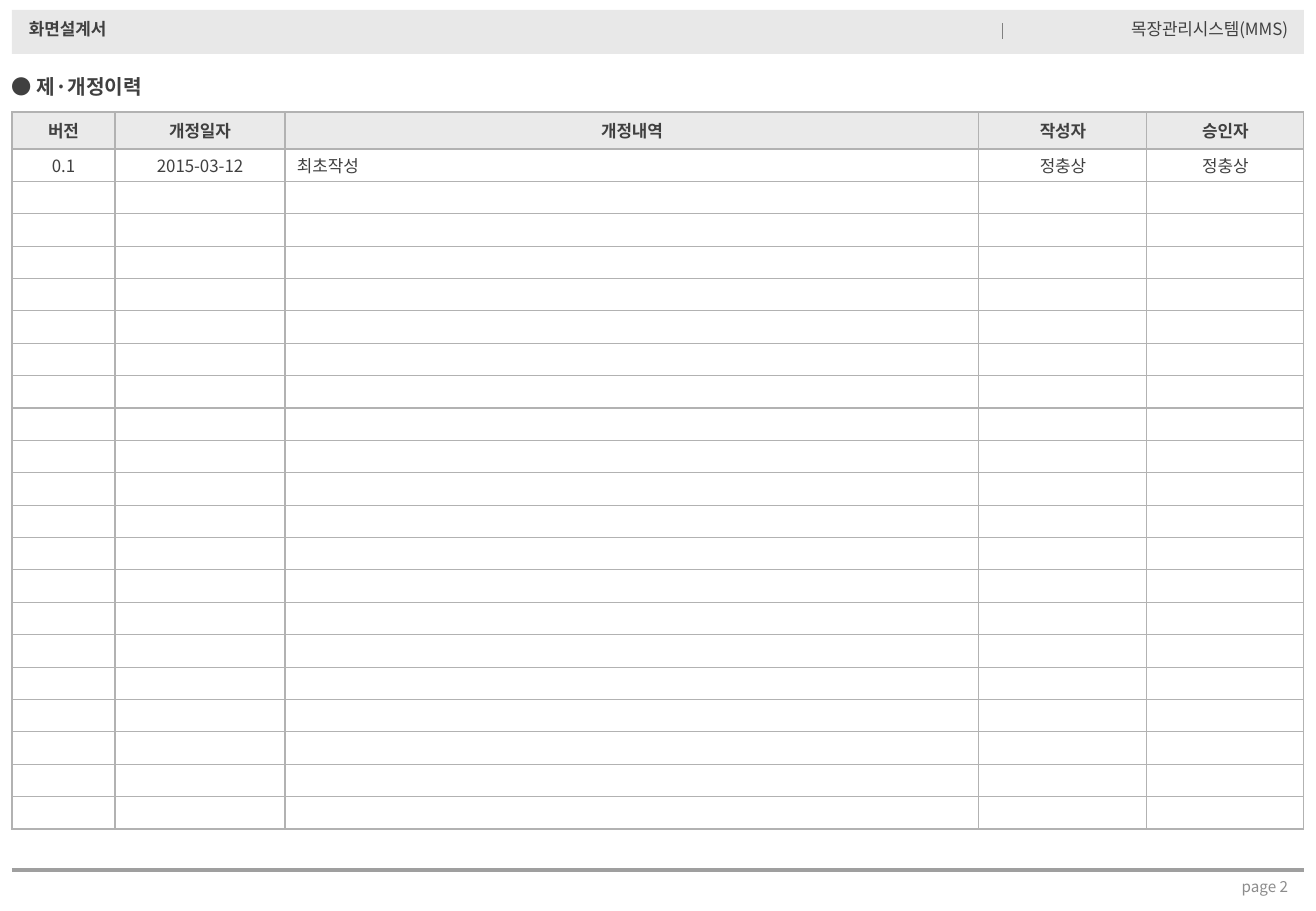
from dataclasses import dataclass
from itertools import pairwise

import lxml.etree
import pptx
import pptx.dml.color
import pptx.enum.shapes
import pptx.enum.text
import pptx.oxml.ns
import pptx.util

qn = pptx.oxml.ns.qn
Align = pptx.enum.text.PP_ALIGN
Anchor = pptx.enum.text.MSO_ANCHOR


@dataclass(frozen=True)
class Theme:
    font: str = "Noto Sans CJK KR"
    ink: str = "404040"
    page_ink: str = "8C8C8C"
    band: str = "D9D9D9"
    band_alpha: int = 60000
    divider: str = "808080"
    footer_rule: str = "9F9F9F"
    grid: str = "B2B2B2"
    heading_fill: str = "EAEAEA"
    page_size: float = 9
    body_size: float = 10
    title_size: float = 12
    divider_width: float = 0.25
    grid_width: float = 0.75
    footer_width: float = 2.25
    cell_space: float = 2


@dataclass(frozen=True)
class Label:
    text: str
    left: int
    top: int
    width: int
    height: int
    size: float
    color: str
    bold: bool = False
    align: Align = Align.LEFT
    anchor: Anchor = Anchor.TOP
    inset: tuple[int, int] = (12, 6)


@dataclass(frozen=True)
class Rule:
    start: tuple[int, int]
    end: tuple[int, int]
    color: str
    width: float


@dataclass(frozen=True)
class Column:
    heading: str
    first_entry: str
    align: Align = Align.CENTER


THEME = Theme()
EMU_PER_PIXEL = 914400 / 121.5


def px(pixels: float) -> pptx.util.Emu:
    return pptx.util.Emu(round(pixels * EMU_PER_PIXEL))


def rgb(color: str) -> pptx.dml.color.RGBColor:
    return pptx.dml.color.RGBColor.from_string(color)


def style_font(paragraph, size: float, color: str, bold: bool) -> None:
    font = paragraph.font
    font.name = THEME.font
    font.size = pptx.util.Pt(size)
    font.bold = bold
    font.color.rgb = rgb(color)
    defaults = paragraph._p.pPr.find(qn("a:defRPr"))
    lxml.etree.SubElement(defaults, qn("a:ea"), typeface=THEME.font)


def draw_label(slide, label: Label) -> None:
    frame = slide.shapes.add_textbox(
        px(label.left), px(label.top), px(label.width), px(label.height)
    ).text_frame
    frame.word_wrap = True
    frame.vertical_anchor = label.anchor
    frame.margin_left = frame.margin_right = px(label.inset[0])
    frame.margin_top = frame.margin_bottom = px(label.inset[1])
    paragraph = frame.paragraphs[0]
    paragraph.text = label.text
    paragraph.alignment = label.align
    style_font(paragraph, label.size, label.color, label.bold)


def draw_rule(slide, rule: Rule) -> None:
    line = slide.shapes.add_connector(
        pptx.enum.shapes.MSO_CONNECTOR.STRAIGHT,
        *map(px, (*rule.start, *rule.end)),
    )
    line.line.color.rgb = rgb(rule.color)
    line.line.width = pptx.util.Pt(rule.width)
    lxml.etree.SubElement(line._element.spPr, qn("a:effectLst"))


def draw_header_band(slide) -> None:
    band = slide.shapes.add_shape(
        pptx.enum.shapes.MSO_SHAPE.RECTANGLE, px(12), px(10), px(1292), px(44)
    )
    band.shadow.inherit = False
    band.line.fill.background()
    band.fill.solid()
    band.fill.fore_color.rgb = rgb(THEME.band)
    tint = band._element.spPr.find(qn("a:solidFill"))[0]
    lxml.etree.SubElement(tint, qn("a:alpha"), val=str(THEME.band_alpha))


def border_cell(cell) -> None:
    properties = cell._tc.get_or_add_tcPr()
    for position, side in enumerate(("a:lnL", "a:lnR", "a:lnT", "a:lnB")):
        edge = lxml.etree.Element(qn(side), w=str(pptx.util.Pt(THEME.grid_width)))
        fill = lxml.etree.SubElement(edge, qn("a:solidFill"))
        lxml.etree.SubElement(fill, qn("a:srgbClr"), val=THEME.grid)
        properties.insert(position, edge)


def fill_cell(cell, text: str, align: Align, heading: bool) -> None:
    cell.margin_left = cell.margin_right = px(12)
    cell.margin_top = cell.margin_bottom = 0
    cell.vertical_anchor = Anchor.MIDDLE
    if heading:
        cell.fill.solid()
        cell.fill.fore_color.rgb = rgb(THEME.heading_fill)
    else:
        cell.fill.background()
    border_cell(cell)
    paragraph = cell.text_frame.paragraphs[0]
    paragraph.alignment = align
    paragraph.space_before = pptx.util.Pt(THEME.cell_space)
    style_font(paragraph, THEME.body_size, THEME.ink, heading)
    if text:
        paragraph.text = text
    else:
        size = str(round(THEME.body_size * 100))
        lxml.etree.SubElement(paragraph._p, qn("a:endParaRPr"), sz=size)


def draw_history(slide, columns: list[Column], edges: list[int]) -> None:
    top, body_top, bottom, entry_count = 112, 149, 830, 21
    history = slide.shapes.add_table(
        entry_count + 1, len(columns),
        px(edges[0]), px(top), px(edges[-1] - edges[0]), px(bottom - top),
    ).table
    history.horz_banding = False
    for grid_column, (left, right) in zip(history.columns, pairwise(edges)):
        grid_column.width = px(right - left)
    for index, row in enumerate(history.rows):
        heading = index == 0
        row.height = px(body_top - top if heading else (bottom - body_top) / entry_count)
        for cell, column in zip(row.cells, columns):
            text = {0: column.heading, 1: column.first_entry}.get(index, "")
            align = Align.CENTER if heading else column.align
            fill_cell(cell, text, align, heading)


LABELS = [
    Label("page 2", 710, 871, 590, 32, THEME.page_size, THEME.page_ink, align=Align.RIGHT),
    Label("화면설계서", 17, 13, 292, 33, THEME.body_size, THEME.ink, bold=True),
    Label("목장관리시스템(MMS)", 1008, 13, 292, 33, THEME.body_size, THEME.ink, align=Align.RIGHT),
    Label("● 제·개정이력", 12, 63, 247, 46, THEME.title_size, THEME.ink, bold=True,
          anchor=Anchor.MIDDLE, inset=(0, 0)),
]
RULES = [
    Rule((1002, 39), (1002, 23), THEME.divider, THEME.divider_width),
    Rule((12, 870), (1304, 870), THEME.footer_rule, THEME.footer_width),
]
COLUMNS = [
    Column("버전", "0.1"),
    Column("개정일자", "2015-03-12"),
    Column("개정내역", "최초작성", Align.LEFT),
    Column("작성자", "정충상"),
    Column("승인자", "정충상"),
]

deck = pptx.Presentation()
deck.slide_width, deck.slide_height = px(1316), px(911)
history_slide = deck.slides.add_slide(deck.slide_layouts[6])
draw_header_band(history_slide)
for label in LABELS:
    draw_label(history_slide, label)
for rule in RULES:
    draw_rule(history_slide, rule)
draw_history(history_slide, COLUMNS, [12, 115, 285, 979, 1147, 1304])
deck.save("out.pptx")
